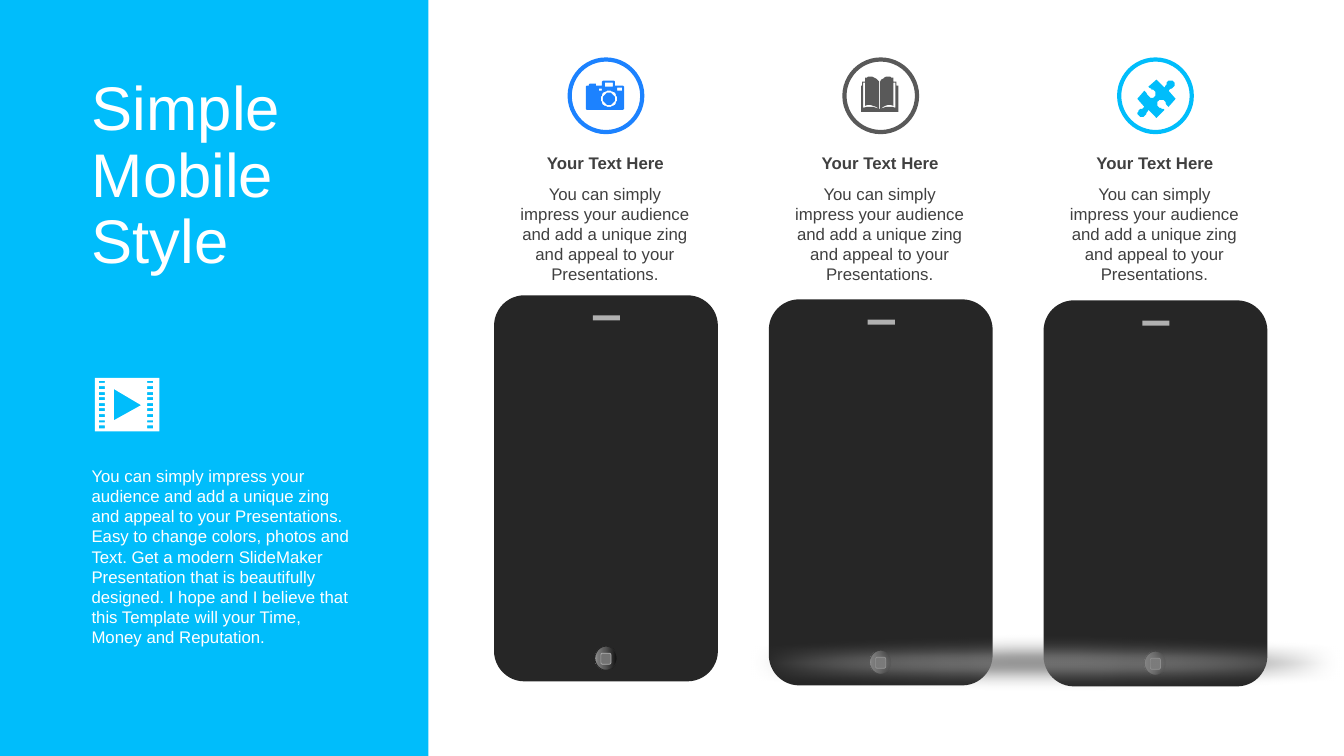
"""Build a slide with a blue side panel and three phones under icons and captions."""
from math import cos, pi, sin
from lxml.etree import SubElement
from pptx import Presentation
from pptx.dml.color import RGBColor
from pptx.enum.shapes import MSO_SHAPE
from pptx.enum.text import MSO_ANCHOR, MSO_AUTO_SIZE, PP_ALIGN
from pptx.oxml.ns import qn
from pptx.util import Inches, Pt

SKY = RGBColor(0x00, 0xBD, 0xFB)
BLUE = RGBColor(0x1C, 0x82, 0xFF)
GREY = RGBColor(0x59, 0x59, 0x59)
INK = RGBColor(0x40, 0x40, 0x40)
CASE = RGBColor(0x26, 0x26, 0x26)
SLOT = RGBColor(0xB0, 0xB0, 0xB0)
KEY = RGBColor(0x73, 0x73, 0x73)
HAZE = RGBColor(0x80, 0x80, 0x80)
WHITE = RGBColor(0xFF, 0xFF, 0xFF)
FONT = "Arial"
WIDE, HIGH = 13.33, 7.5
STEP = 2.725

deck = Presentation()
deck.slide_width, deck.slide_height = Inches(WIDE), Inches(HIGH)
slide = deck.slides.add_slide(deck.slide_layouts[5])


def add(host, kind, box, fill, line=None, width=0):
    """Add a filled preset shape at a box given in inches."""
    shape = host.shapes.add_shape(kind, *map(Inches, box))
    shape.shadow.inherit = False
    shape.fill.solid()
    shape.fill.fore_color.rgb = fill
    if line is None:
        shape.line.fill.background()
    else:
        shape.line.color.rgb = line
        shape.line.width = Pt(width)
    return shape


def draw(loops, fill):
    """Draw closed loops in hundredths of an inch; six numbers make a curve."""
    pen = None
    for loop in loops:
        x, y = loop[0]
        dots = []
        for part in loop[1:]:
            if len(part) == 2:
                dots.append(part)
            else:
                a, b, c, d, e, f = part
                for t in (0.2, 0.4, 0.6, 0.8, 1):
                    s = 1 - t
                    k = (s**3, 3 * s * s * t, 3 * s * t * t, t**3)
                    dots.append((k[0] * x + k[1] * a + k[2] * c + k[3] * e,
                                 k[0] * y + k[1] * b + k[2] * d + k[3] * f))
            x, y = dots[-1]
        if pen is None:
            pen = slide.shapes.build_freeform(*loop[0], scale=Inches(0.01))
        else:
            pen.move_to(*loop[0])
        pen.add_line_segments(dots, close=True)
    shape = pen.convert_to_shape()
    shape.shadow.inherit = False
    shape.fill.solid()
    shape.fill.fore_color.rgb = fill
    shape.line.fill.background()


title = slide.shapes.title
panel = add(slide, MSO_SHAPE.RECTANGLE, (0, 0, 4.25, HIGH), SKY)
title.element.addprevious(panel.element)
title.left, title.top, title.width, title.height = map(Inches, (0.81, 0.72, 2.35, 2.1))
frame = title.text_frame
frame.text = "Simple Mobile Style"
frame.word_wrap = True
frame.auto_size = MSO_AUTO_SIZE.NONE
frame.vertical_anchor = MSO_ANCHOR.TOP
para = frame.paragraphs[0]
para.alignment = PP_ALIGN.LEFT
para.line_spacing = 0.9
para.font.size, para.font.name, para.font.color.rgb = Pt(44), FONT, WHITE

STOPS = ((0, "0F0F0F"), (56, "595959"), (91, "808080"), (100, "BFBFBF"))
for col, top in enumerate((2.93, 2.97, 2.98)):
    left = 4.9 + col * STEP
    phone = slide.shapes.add_group_shape()
    case = add(phone, MSO_SHAPE.ROUNDED_RECTANGLE, (left, top, 2.22, 3.83), CASE)
    case.adjustments[0] = 0.136
    add(phone, MSO_SHAPE.RECTANGLE, (left + 0.98, top + 0.2, 0.27, 0.05), SLOT)
    home = add(phone, MSO_SHAPE.OVAL, (left + 1, top + 3.48, 0.22, 0.24), CASE, CASE)
    home.fill.gradient()
    home.fill.gradient_angle = 180
    stops = home.element.spPr.find(".//" + qn("a:gsLst"))
    stops.clear()
    for share, tone in STOPS:
        stop = SubElement(stops, qn("a:gs"), pos=str(share * 1000))
        SubElement(stop, qn("a:srgbClr"), val=tone)
    add(phone, MSO_SHAPE.ROUNDED_RECTANGLE, (left + 1.06, top + 3.55, 0.1, 0.11), KEY, SLOT, 0.5)

haze = add(slide, MSO_SHAPE.OVAL, (6.56, 6.3, 7.61, 0.55), HAZE)
blur = haze.element.spPr.find(qn("a:effectLst"))
SubElement(blur, qn("a:softEdge"), rad=str(Inches(0.18)))

PITCH = "You can simply impress your audience and add a unique zing and appeal to your Presentations."
MORE = (" Easy to change colors, photos and Text. Get a modern SlideMaker Presentation that is "
        "beautifully designed. I hope and I believe that this Template will your Time, "
        "Money and Reputation.")
notes = [((0.81, 4.57, 2.8, 1.92), PITCH + MORE, False, PP_ALIGN.LEFT, WHITE)]
for col in range(3):
    left = 5.04 + col * STEP
    notes.append(((left, 1.77, 1.92, 1.11), PITCH, False, PP_ALIGN.CENTER, INK))
    notes.append(((left - 0.01, 1.47, 1.95, 0.3), "Your Text Here", True, PP_ALIGN.CENTER, INK))
for box, text, bold, align, tone in notes:
    frame = slide.shapes.add_textbox(*map(Inches, box)).text_frame
    frame.word_wrap = True
    frame.text = text
    para = frame.paragraphs[0]
    para.alignment = align
    font = para.runs[0].font
    font.size, font.name, font.bold, font.color.rgb = Pt(12), FONT, bold, tone

for col, tone in enumerate((BLUE, GREY, SKY)):
    add(slide, MSO_SHAPE.OVAL, (5.65 + col * STEP, 0.59, 0.72, 0.72), WHITE, tone, 3)

film = [[(94, 375), (157.5, 375), (157.5, 428), (94, 428)],
        [(113, 386), (113, 417), (140, 402)]]
for row in range(9):
    y = 377.6 + row * 5.57
    for x in (98, 146):
        film.append([(x, y), (x + 6.5, y), (x + 6.5, y + 2.8), (x, y + 2.8)])
draw(film, WHITE)

lens = [[(604 + r * cos(n * pi / 16), 98 + r * sin(n * pi / 16)) for n in range(32)]
        for r in (6, 8)]
holes = [[(x, y), (x, y + h), (x + w, y + h), (x + w, y)]
         for x, y, w, h in ((594.5, 88, 2.5, 2), (612, 87, 5, 3), (600, 81.5, 8, 4))]
body = [(598, 80), (609, 80), (610, 81), (610, 85), (616, 85), (618, 85, 619, 86, 619, 88),
        (619, 106), (619, 108, 618, 109, 616, 109), (584, 109),
        (582, 109, 581, 108, 581, 106), (581, 88), (581, 86, 582, 85, 584, 85),
        (584, 84), (585, 83), (591, 83), (591, 85), (597, 85), (597, 81)]
draw(lens + holes + [body], BLUE)

book = [(872, 108), (872.5, 108), (873, 108), (879, 106, 882, 105, 888, 107), (888, 82),
        (886, 82), (886, 105), (882, 103, 877, 104, 873, 108), (873, 81),
        (875, 78, 878, 76, 881, 76), (883, 76, 884, 77, 886, 77), (886, 81), (889, 81),
        (889, 85), (891, 85), (891, 111), (854, 111), (854, 85), (855, 85), (855, 81),
        (858, 81), (858, 77), (860, 77, 862, 76, 863, 76), (867, 76, 869, 78, 872, 81),
        (872, 108), (867, 104, 862, 103, 858, 105), (858, 82), (856, 82), (856, 107),
        (863, 105, 866, 106, 872, 108)]
draw([book], GREY)

piece = [(1164, 81), (1166, 82, 1166, 84, 1164, 86), (1163, 89, 1160, 87, 1159, 90),
         (1166, 98), (1159, 106), (1156, 104, 1157, 102, 1155, 100),
         (1153, 98, 1150, 99, 1149, 100), (1148, 101, 1147, 104, 1149, 106),
         (1152, 108, 1152, 107, 1155, 109), (1147, 117), (1139, 109),
         (1136, 112, 1138, 113, 1135, 115), (1134, 117, 1131, 116, 1130, 115),
         (1128, 114, 1128, 112, 1129, 110), (1131, 107, 1133, 109, 1135, 106),
         (1128, 98), (1135, 90), (1138, 92, 1137, 94, 1140, 96),
         (1141, 98, 1144, 97, 1145, 96), (1146, 95, 1147, 92, 1145, 90),
         (1142, 88, 1142, 89, 1139, 86), (1147, 79), (1155, 87),
         (1158, 84, 1156, 83, 1158, 81), (1160, 79, 1163, 79, 1164, 81)]
draw([piece], SKY)

deck.save("out.pptx")
